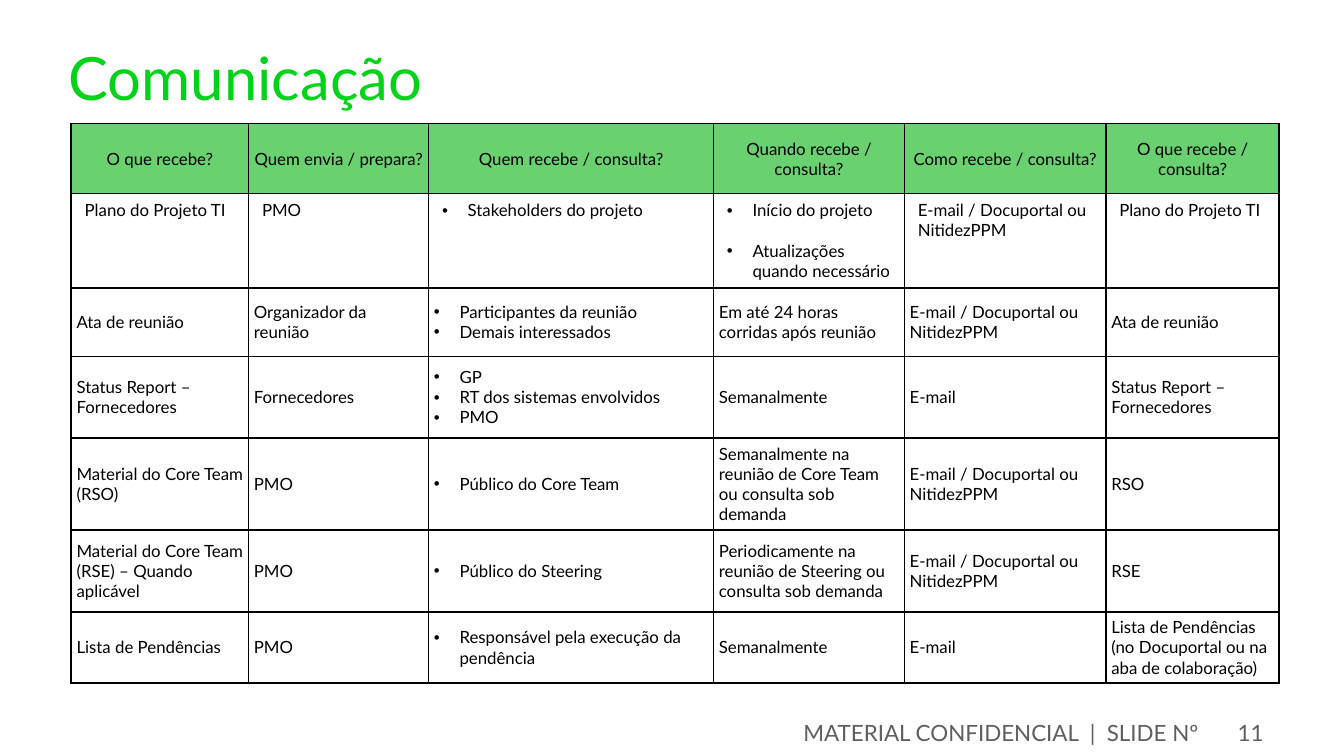
from pptx import Presentation
from pptx.dml.color import RGBColor
from pptx.enum.text import MSO_ANCHOR as Anchor, PP_ALIGN as Align
from pptx.oxml.ns import qn
from pptx.util import Inches, Pt
from lxml.etree import SubElement as Sub

FONT = "Lato"
GREEN = RGBColor(0x00, 0xD3, 0x18)
HEAD = RGBColor(0x69, 0xD1, 0x70)
GRAY = RGBColor(0x5F, 0x5F, 0x5F)
BLACK = RGBColor(0, 0, 0)
COLS = [1.32, 1.34, 2.12, 1.42, 1.5, 1.29]
TALL = [0.52, 0.59, 0.51, 0.61, 0.61, 0.61, 0.46]
TOOLS = "E-mail / Docuportal ou NitidezPPM"
ROWS = [
    ["O que recebe?", "Quem envia / prepara?", "Quem recebe / consulta?",
     "Quando recebe / consulta?", "Como recebe / consulta?",
     "O que recebe / consulta?"],
    ["Plano do Projeto TI", "PMO", ["Stakeholders do projeto"],
     ["Início do projeto", "Atualizações quando necessário"], TOOLS,
     "Plano do Projeto TI"],
    ["Ata de reunião", "Organizador da reunião",
     ["Participantes da reunião", "Demais interessados"],
     "Em até 24 horas corridas após reunião", TOOLS, "Ata de reunião"],
    ["Status Report –Fornecedores", "Fornecedores",
     ["GP", "RT dos sistemas envolvidos", "PMO"], "Semanalmente", "E-mail",
     "Status Report – Fornecedores"],
    ["Material do Core Team (RSO)", "PMO", ["Público do Core Team"],
     "Semanalmente na reunião de Core Team ou consulta sob demanda", TOOLS,
     "RSO"],
    ["Material do Core Team (RSE) – Quando aplicável", "PMO",
     ["Público do Steering"],
     "Periodicamente na reunião de Steering ou consulta sob demanda", TOOLS,
     "RSE"],
    ["Lista de Pendências", "PMO", ["Responsável pela execução da pendência"],
     "Semanalmente", "E-mail",
     "Lista de Pendências (no Docuportal ou na aba de colaboração)"],
]


def style(para, size, color, align=Align.LEFT):
    """Set the font and alignment of a paragraph."""
    para.alignment = align
    font = para.font
    font.name, font.size, font.bold = FONT, Pt(size), False
    font.color.rgb = color


def pad(item, left, top, right, bottom):
    """Set the four margins of a cell or text frame."""
    item.margin_left, item.margin_top = Inches(left), Inches(top)
    item.margin_right, item.margin_bottom = Inches(right), Inches(bottom)


def bullet(para):
    """Give a paragraph a hanging bullet."""
    props = para._p.get_or_add_pPr()
    props.set("marL", str(Inches(0.19)))
    props.set("indent", str(-Inches(0.19)))
    Sub(props, qn("a:buFont"), typeface="Arial")
    Sub(props, qn("a:buChar"), char="•")


def border(cell):
    """Draw a thin black line on each side of a cell."""
    props = cell._tc.get_or_add_tcPr()
    for side in ("lnL", "lnR", "lnT", "lnB"):
        line = Sub(props, qn(f"a:{side}"), w=str(Pt(1)))
        fill = Sub(line, qn("a:solidFill"))
        Sub(fill, qn("a:srgbClr"), val=str(BLACK))


def fill_cell(cell, text, row):
    """Write and format one table cell."""
    border(cell)
    if row == 0:
        pad(cell, 0.01, 0.01, 0.01, 0)
        cell.fill.solid()
        cell.fill.fore_color.rgb = HEAD
    else:
        cell.fill.background()
        side = 0.1 if row == 1 else 0.04
        edge = 0.05 if row == 1 else 0.04
        pad(cell, side, edge, side, edge)
    cell.vertical_anchor = Anchor.TOP if row == 1 else Anchor.MIDDLE
    listed = isinstance(text, list)
    cell.text = "\n".join(text) if listed else text
    for num, para in enumerate(cell.text_frame.paragraphs):
        if listed:
            bullet(para)
        if row == 1 and num:
            para.space_before = Pt(10.8)
        style(para, 9, BLACK, Align.LEFT if row else Align.CENTER)


def add_grid(slide):
    """Add the communication table."""
    frame = slide.shapes.add_table(
        len(ROWS), len(COLS), Inches(0.53), Inches(0.92),
        Inches(sum(COLS)), Inches(sum(TALL)))
    table = frame.table
    table.horz_banding = False
    for col, width in zip(table.columns, COLS):
        col.width = Inches(width)
    for num, (row, tall, texts) in enumerate(zip(table.rows, TALL, ROWS)):
        row.height = Inches(tall)
        for cell, text in zip(row.cells, texts):
            fill_cell(cell, text, num)


def add_title(slide, text):
    """Place and format the slide title."""
    title = slide.shapes.title
    title.left, title.top = Inches(0.51), Inches(0.3)
    title.width, title.height = Inches(8.98), Inches(0.78)
    frame = title.text_frame
    frame.text = text
    frame.vertical_anchor = Anchor.TOP
    pad(frame, 0, 0, 0, 0)
    style(frame.paragraphs[0], 32, GREEN)


def add_foot(slide, text, left, width):
    """Add a right-aligned footer text."""
    box = slide.shapes.add_textbox(
        Inches(left), Inches(5.33), Inches(width), Inches(0.24))
    frame = box.text_frame
    frame.word_wrap = True
    frame.vertical_anchor = Anchor.MIDDLE
    frame.text = text
    style(frame.paragraphs[0], 12, GRAY, Align.RIGHT)


def main():
    """Build and save the slide."""
    deck = Presentation()
    deck.slide_width = Inches(10)
    deck.slide_height = deck.slide_width * 9 // 16
    slide = deck.slides.add_slide(deck.slide_layouts[5])
    add_title(slide, "Comunicação")
    add_foot(slide, "MATERIAL CONFIDENCIAL  |  SLIDE Nº", 0.5, 8.52)
    add_foot(slide, "11", 9.02, 0.48)
    add_grid(slide)
    deck.save("out.pptx")


if __name__ == "__main__":
    main()
